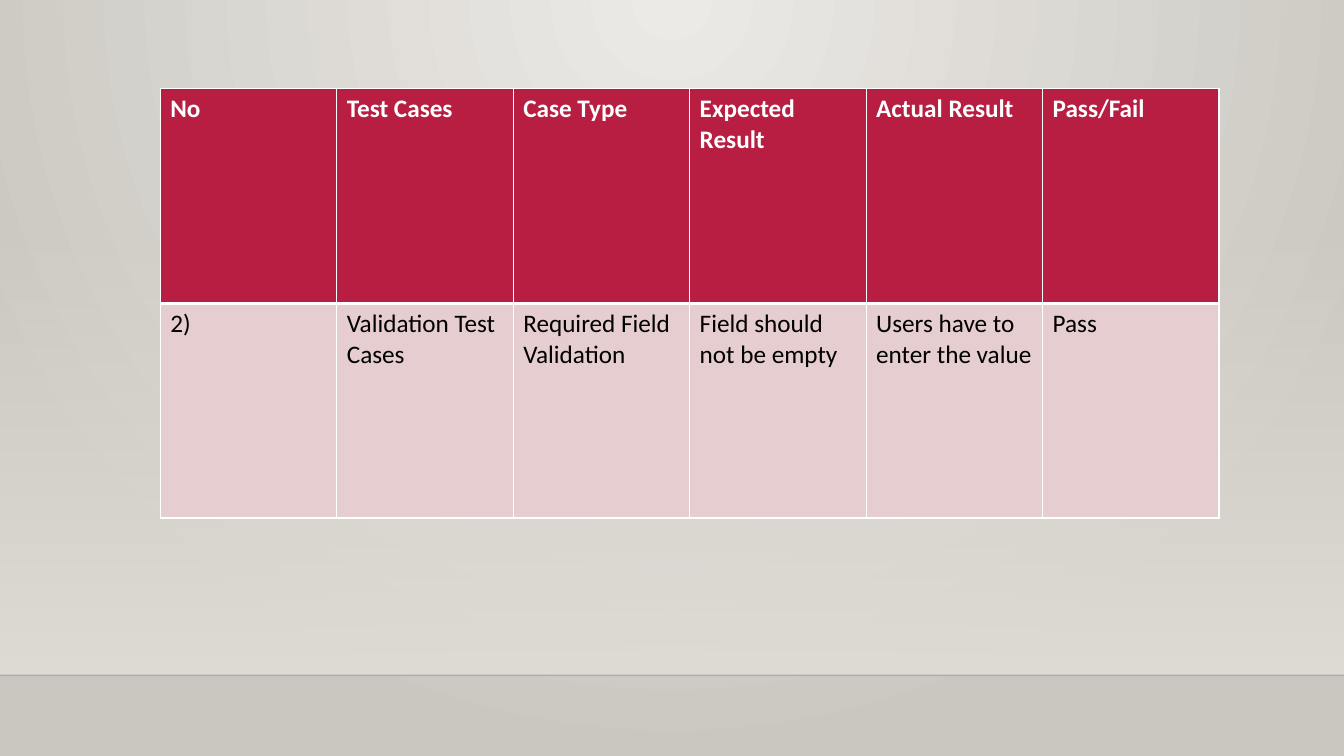
from pptx import Presentation
from pptx import util as u
from pptx.dml.color import RGBColor
from pptx.enum import shapes
from pptx.oxml import ns
from lxml import etree

ROWS = [
    ["No", "Test Cases", "Case Type", "Expected Result", "Actual Result", "Pass/Fail"],
    ["2)", "Validation Test Cases", "Required Field Validation",
     "Field should not be empty", "Users have to enter the value", "Pass"],
]
ROW_STYLES = [
    {"fill": "B71E42", "ink": "FFFFFF", "bold": True, "top": 1, "bottom": 3},
    {"fill": "E6CDCF", "ink": "000000", "bold": False, "top": 3, "bottom": 1},
]


def colour(code):
    return RGBColor.from_string(code)


def add_tag(parent, tag, **values):
    element = etree.SubElement(parent, ns.qn(tag))
    for name, value in values.items():
        element.set(name, str(value))
    return element


class TestCaseSlide:
    """Hold the style and the current slide, and draw its elements."""

    font = {"name": "Calibri", "size": u.Pt(18)}

    def __init__(self, deck):
        self.page = deck.slides.add_slide(deck.slide_layouts[6])

    def gradient(self, fill, codes):
        fill.gradient()
        for stop, code in zip(fill.gradient_stops, codes):
            stop.color.rgb = colour(code)

    def background(self, centre, edge):
        self.gradient(self.page.background.fill, [centre, edge])
        direction = self.page.element.xpath(".//p:bgPr/a:gradFill/a:lin")[0]
        gradient = direction.getparent()
        gradient.remove(direction)
        circle = add_tag(gradient, "a:path", path="circle")
        add_tag(circle, "a:fillToRect", l=43000, t=0, r=43000, b=100000)

    def fading_wall(self, left, top, width, height, code):
        wall = self.page.shapes.add_shape(
            shapes.MSO_SHAPE.RECTANGLE, *map(u.Inches, (left, top, width, height)))
        wall.shadow.inherit = False
        wall.line.fill.background()
        self.gradient(wall.fill, [code, code])
        wall.fill.gradient_angle = 270
        first_stop = wall.element.xpath(".//a:gsLst/a:gs/a:srgbClr")[0]
        add_tag(first_stop, "a:alpha", val=0)

    def floor_line(self, top, width, code, points, opacity):
        line = self.page.shapes.add_connector(
            shapes.MSO_CONNECTOR.STRAIGHT, 0, u.Inches(top), u.Inches(width), u.Inches(top))
        line.line.color.rgb = colour(code)
        line.line.width = u.Pt(points)
        add_tag(line.element.xpath(".//a:ln//a:srgbClr")[0], "a:alpha", val=opacity * 1000)
        add_tag(line.element.spPr, "a:effectLst")

    def cell(self, cell, words, style):
        properties = cell._tc.get_or_add_tcPr()
        edges = {"L": 1, "R": 1, "T": style["top"], "B": style["bottom"]}
        for side, points in edges.items():
            border = add_tag(properties, f"a:ln{side}", w=u.Pt(points))
            add_tag(add_tag(border, "a:solidFill"), "a:srgbClr", val="FFFFFF")
        cell.fill.solid()
        cell.fill.fore_color.rgb = colour(style["fill"])
        span = cell.text_frame.paragraphs[0].add_run()
        span.text = words
        for name, value in {**self.font, "bold": style["bold"]}.items():
            setattr(span.font, name, value)
        span.font.color.rgb = colour(style["ink"])

    def table(self, left, top, column_width, row_height, rows, styles):
        columns = len(rows[0])
        table = self.page.shapes.add_table(
            len(rows), columns, u.Inches(left), u.Inches(top),
            u.Inches(column_width * columns), u.Inches(row_height * len(rows))).table
        table.horz_banding = False
        for row, words, style in zip(table.rows, rows, styles):
            for cell, entry in zip(row.cells, words):
                self.cell(cell, entry, style)


def main():
    deck = Presentation()
    deck.slide_width, deck.slide_height = u.Inches(13.33), u.Inches(7.5)
    slide = TestCaseSlide(deck)
    slide.background("ECEAE7", "CAC7C1")
    slide.fading_wall(0, 2.21, 13.33, 4.49, "DFDBD5")
    slide.floor_line(6.7, 13.33, "000001", 1, 20)
    slide.table(1.59, 0.88, 1.75, 2.13, ROWS, ROW_STYLES)
    deck.save("out.pptx")


if __name__ == "__main__":
    main()
